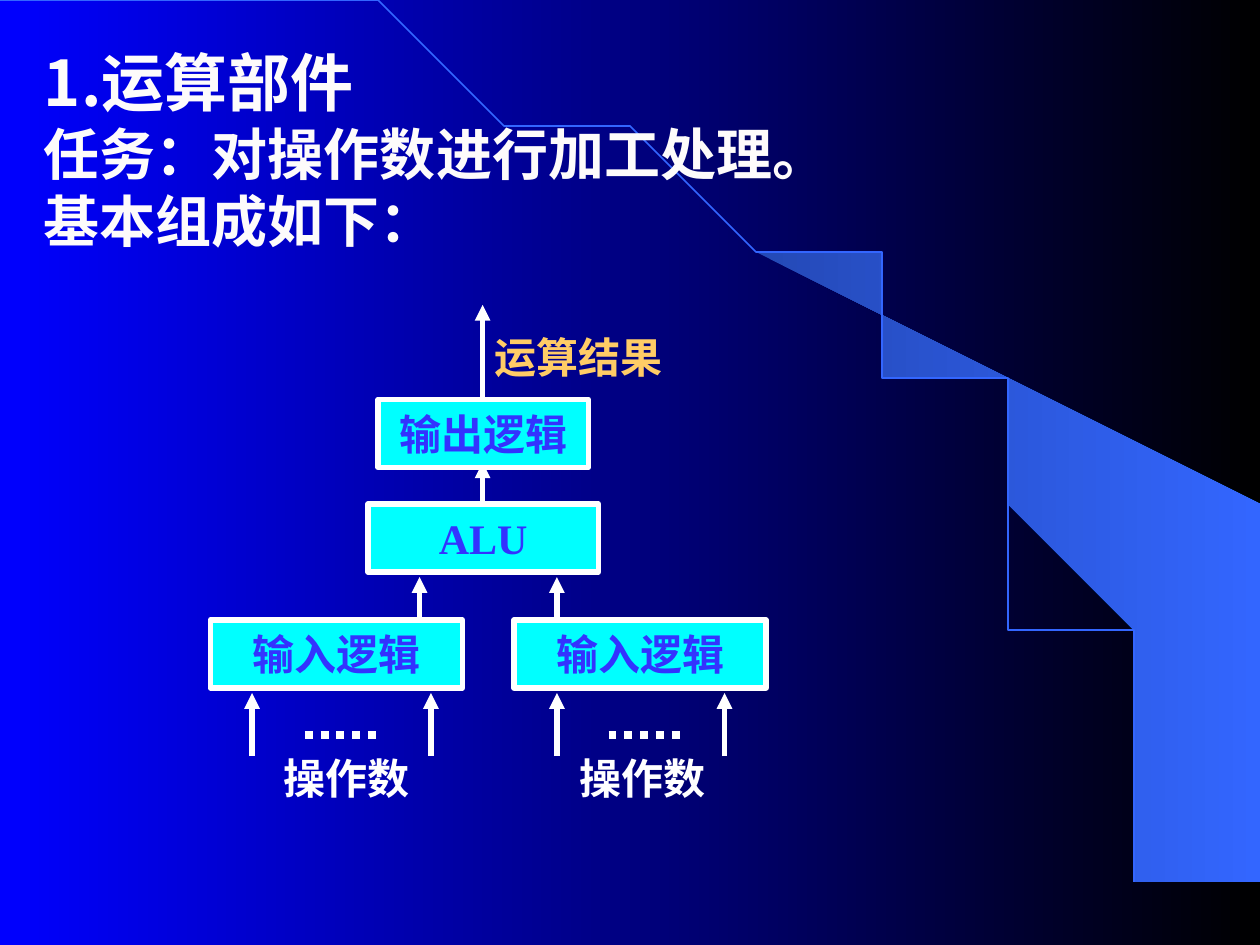
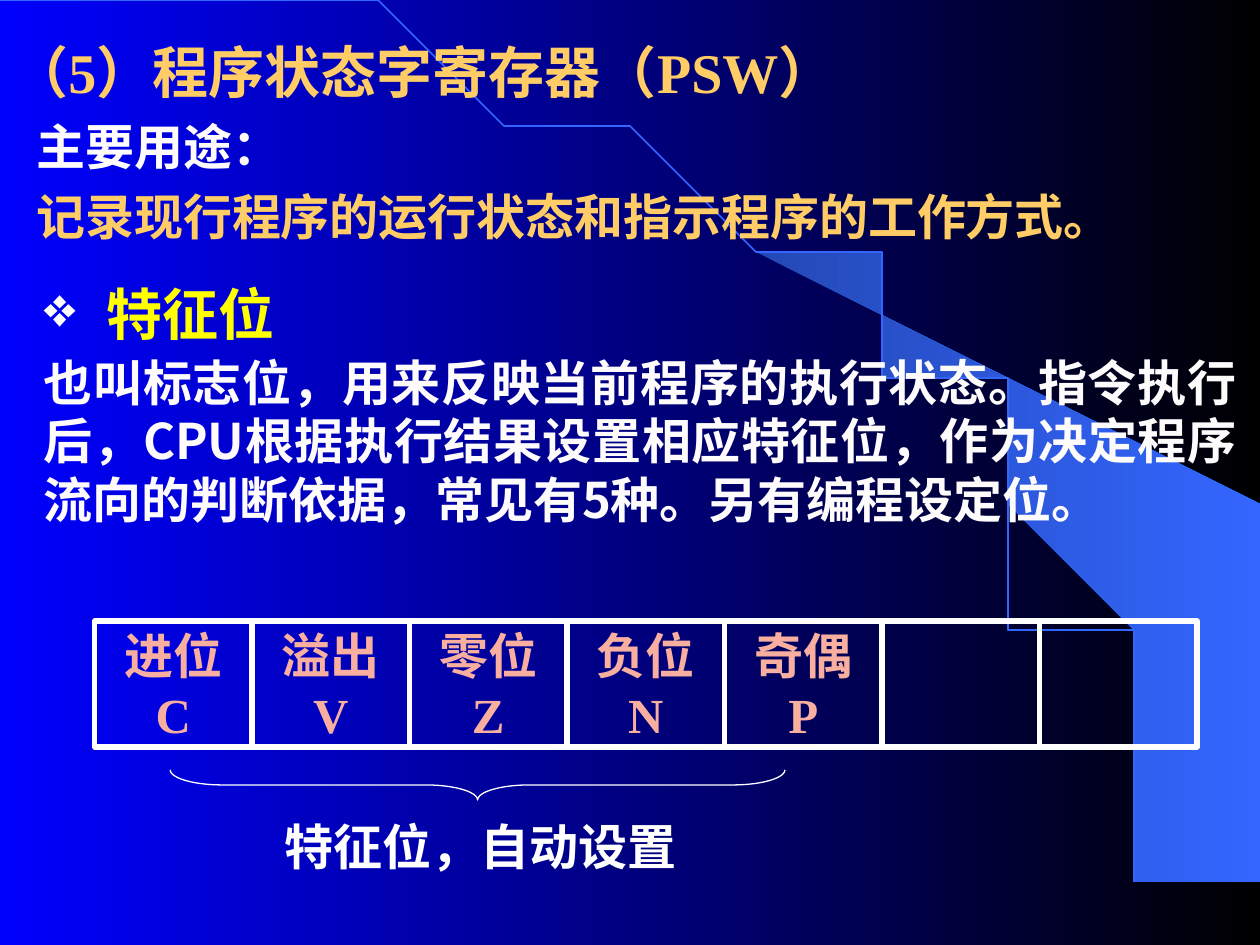
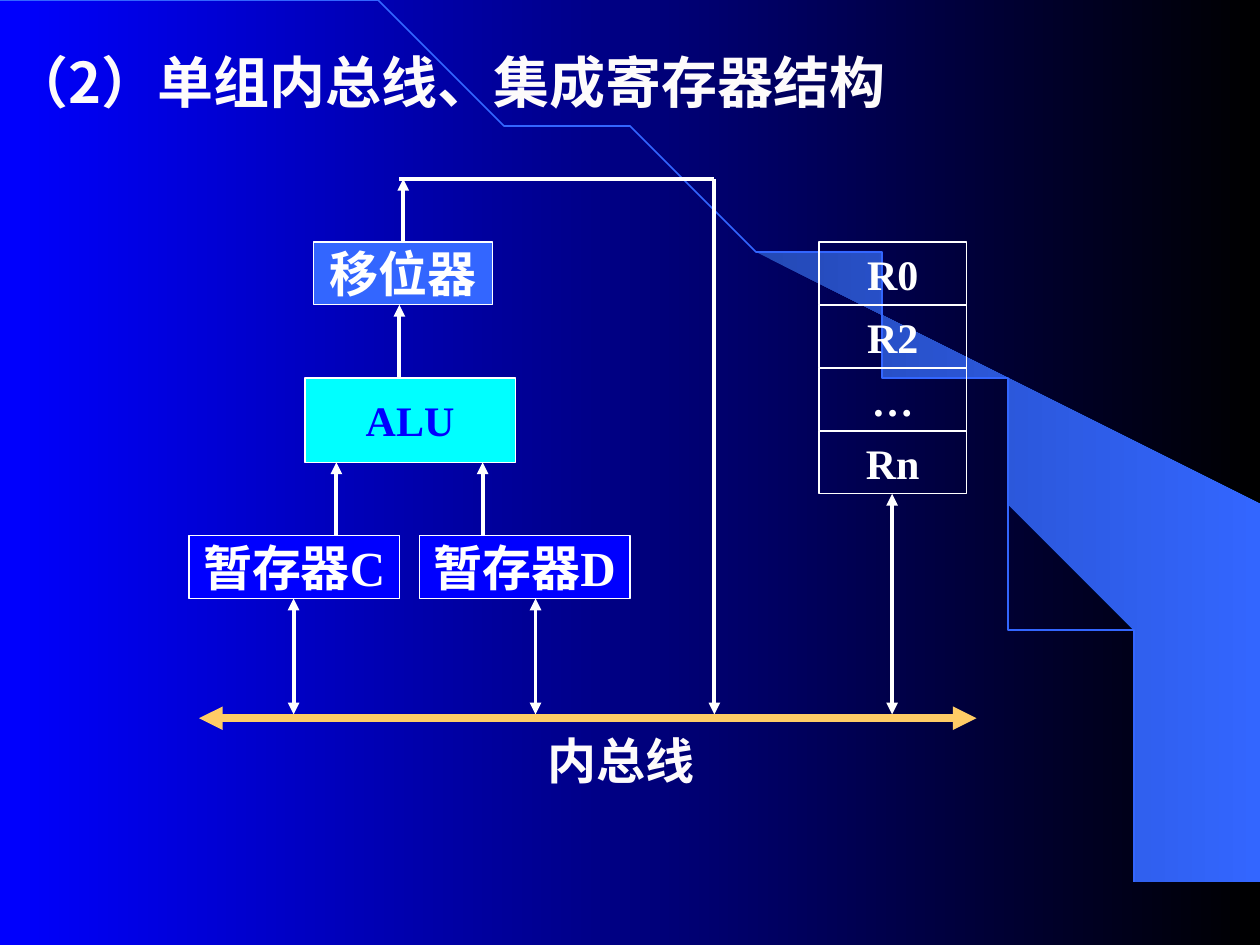
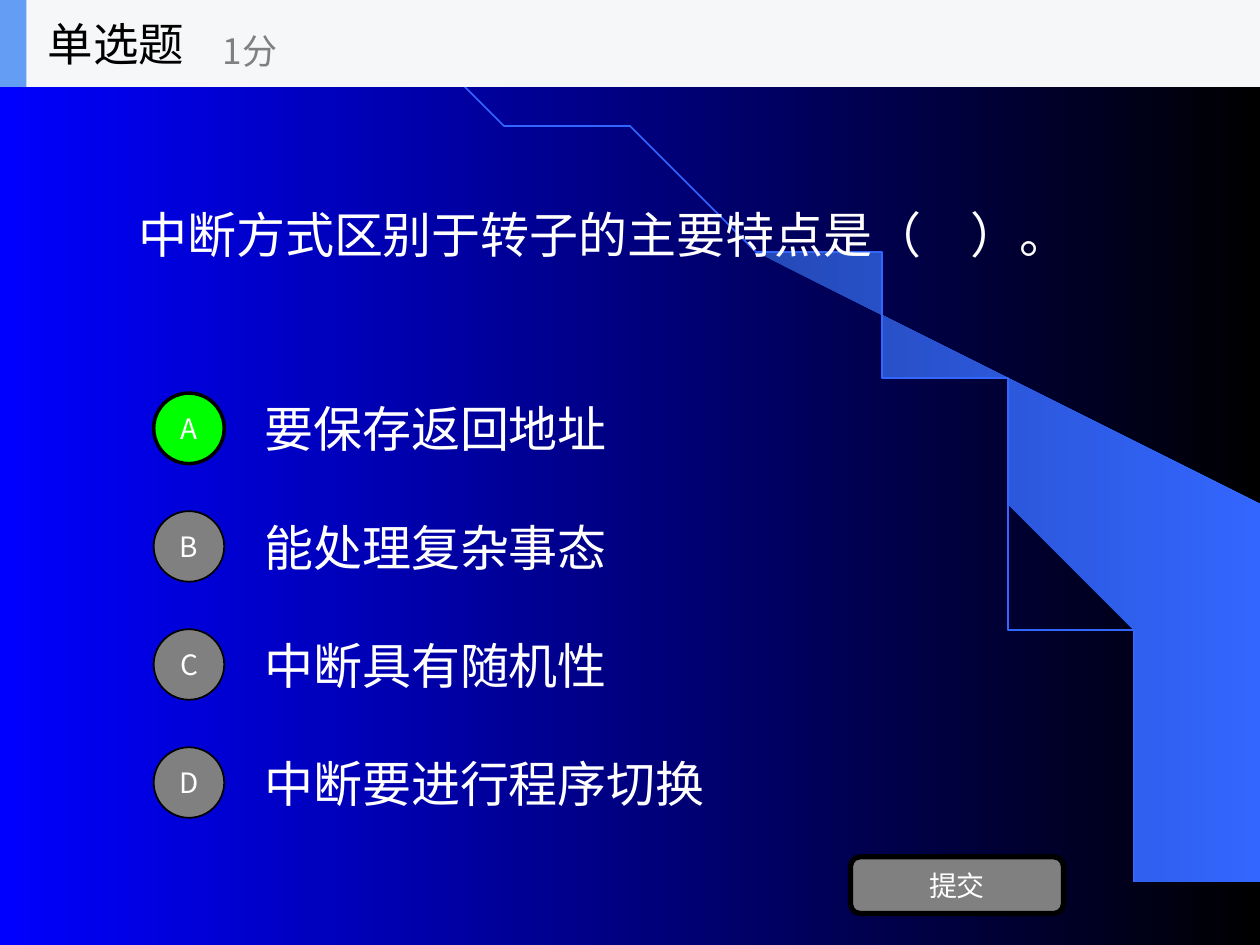
from lxml import etree
from pptx import Presentation
from pptx.dml.color import RGBColor
from pptx.enum import dml, shapes, text
from pptx.oxml import ns
from pptx.util import Inches, Pt

SANS, SERIF = "Noto Sans CJK SC", "Times New Roman"
WHITE, SNOW, GOLD, YELLOW = "FFFFFF", "FDFBFB", "FFCC66", "FFFF00"
BLUE, CYAN, INK, SKY = "0000FF", "00FFFF", "3333FF", "3366FF"
BLACK, GRAY, GREEN, PINK = "000000", "808080", "00FF00", "F8AFA0"
LEFT, MID, FULL = (text.PP_ALIGN.LEFT, text.PP_ALIGN.CENTER,
                   text.PP_ALIGN.JUSTIFY)
TOP, CENTER = text.MSO_ANCHOR.TOP, text.MSO_ANCHOR.MIDDLE
KIND = shapes.MSO_SHAPE
LEADING = 1.2

# Edge of the bright wedge in the backdrop
WEDGE = [(9.2, 7.48), (9.99, 7.49), (9.99, 4.23), (5.89, 1.73), (6.24, 1.99),
         (6.53, 2.22), (6.85, 2.5), (7.16, 2.8), (7.62, 3.3), (8.03, 3.84),
         (8.32, 4.31), (8.58, 4.79), (8.78, 5.28), (8.93, 5.72), (9.03, 6.09),
         (9.13, 6.56), (9.17, 6.96), (9.2, 7.48)]


# Basic helpers
def rgb(code):
    return RGBColor.from_string(code)


def sub(parent, tag, **attrs):
    return etree.SubElement(parent, ns.qn(tag), attrs)


def paint(shape, fill=None, line=None, width=1):
    shape.shadow.inherit = False
    if fill:
        shape.fill.solid()
        shape.fill.fore_color.rgb = rgb(fill)
    else:
        shape.fill.background()
    if line:
        shape.line.color.rgb = rgb(line)
        shape.line.width = Pt(width)
    else:
        shape.line.fill.background()


def blend(fill, start, end):
    fill.gradient()
    fill.gradient_angle = 0
    for stop, code in zip(fill.gradient_stops, (start, end)):
        stop.color.rgb = rgb(code)


# Text
def para(words, size, color=WHITE, font=SERIF, bold=True, align=LEFT,
         before=0, indent=0, bullet=None):
    return dict(words=words, size=size, color=color, font=font, bold=bold,
                align=align, before=before, indent=indent, bullet=bullet)


def write(shape, paras, anchor=TOP, wrap=True):
    frame = shape.text_frame
    frame.word_wrap = wrap
    frame.vertical_anchor = anchor
    for i, item in enumerate(paras):
        p = frame.paragraphs[0] if i == 0 else frame.add_paragraph()
        props = p._p.get_or_add_pPr()
        if item["indent"]:
            props.set("marL", str(Inches(item["indent"])))
        if item["bullet"]:
            props.set("indent", str(-Inches(item["indent"])))
            sub(sub(props, "a:buClr"), "a:srgbClr", val=WHITE)
            sub(props, "a:buChar", char=item["bullet"])
        p.alignment = item["align"]
        p.line_spacing = Pt(item["size"] * LEADING)
        if item["before"]:
            p.space_before = Pt(item["before"])
        run = p.add_run()
        run.text = item["words"]
        run.font.size = Pt(item["size"])
        run.font.bold = item["bold"]
        run.font.color.rgb = rgb(item["color"])
        run.font.name = item["font"]
        sub(run._r.get_or_add_rPr(), "a:ea", typeface=SANS)


def label(slide, at, *paras, anchor=TOP, wrap=True):
    box = slide.shapes.add_textbox(*map(Inches, at))
    write(box, paras, anchor, wrap)


# Shapes and lines
def block(slide, at, *paras, fill=None, line=WHITE, width=0.75,
          kind=KIND.RECTANGLE):
    shape = slide.shapes.add_shape(kind, *map(Inches, at))
    paint(shape, fill, line, width)
    write(shape, paras, CENTER, False)
    return shape


def wire(slide, x1, y1, x2, y2, width=2.25, color=WHITE, head=False,
         tail=True, dots=False):
    link = slide.shapes.add_connector(shapes.MSO_CONNECTOR.STRAIGHT,
                                      *map(Inches, (x1, y1, x2, y2)))
    link.line.color.rgb = rgb(color)
    link.line.width = Pt(width)
    if dots:
        link.line.dash_style = dml.MSO_LINE.ROUND_DOT
    edge = link.line._get_or_add_ln()
    for tag, shown in (("a:headEnd", head), ("a:tailEnd", tail)):
        if shown:
            sub(edge, tag, type="triangle")
    sub(link._element.spPr, "a:effectLst")


def outline(slide, points, close):
    pen = slide.shapes.build_freeform(*points[0], scale=float(Inches(1)))
    pen.add_line_segments(points[1:], close=close)
    return pen.convert_to_shape()


def arc(steps=48):
    ends = ((0, 0), (5.08, 0), (9.2, 3.35), (9.2, 7.49))
    points = []
    for i in range(steps + 1):
        t = i / steps
        mix = ((1 - t) ** 3, 3 * t * (1 - t) ** 2, 3 * t * t * (1 - t), t ** 3)
        points.append(tuple(sum(m * e[k] for m, e in zip(mix, ends))
                            for k in (0, 1)))
    return points


# Shared backdrop, kept on the master
def backdrop(master, slide):
    blend(master.background.fill, BLUE, BLACK)
    wedge = outline(slide, WEDGE, True)
    paint(wedge)
    blend(wedge.fill, "2449B6", SKY)
    curve = outline(slide, arc(), False)
    paint(curve, line=SKY)
    for shape in (wedge, curve):
        master.shapes._spTree.insert_element_before(shape._element, "p:extLst")


# Slide 1: arithmetic unit
def unit(slide):
    label(slide, (0.25, 0.3, 6.42, 1.77),
          para("1.运算部件", 36, SNOW, SANS),
          para("任务：对操作数进行加工处理。", 32, SNOW, SANS),
          para("基本组成如下：", 32, SNOW, SANS))
    for x, low, high in ((3.33, 4.92, 4.58), (4.42, 4.92, 4.58),
                         (3.83, 4, 3.67), (3.83, 3.17, 2.42),
                         (2, 6, 5.5), (3.42, 6, 5.5),
                         (4.42, 6, 5.5), (5.75, 6, 5.5)):
        wire(slide, x, low, x, high, 3)
    for x, y, wide, words in ((1.67, 4.92, 2, "输入逻辑"),
                              (4.08, 4.92, 2, "输入逻辑"),
                              (3, 3.17, 1.67, "输出逻辑"),
                              (2.92, 4, 1.83, "ALU")):
        block(slide, (x, y, wide, 0.54), para(words, 24, INK, align=MID),
              fill=CYAN, width=3)
    for x in (2.42, 4.83):
        wire(slide, x, 5.83, x + 0.58, 5.83, 4.5, tail=False, dots=True)
    for x, y, wide, words, color in ((2.15, 5.92, 1.21, "操作数", WHITE),
                                     (4.5, 5.92, 1.21, "操作数", WHITE),
                                     (3.83, 2.58, 1.53, "运算结果", GOLD)):
        label(slide, (x, y, wide, 0.5), para(words, 24, color), wrap=False)


# Slide 2: program status word
def status(slide):
    label(slide, (0, 0.25, 10, 1.76),
          para("（5）程序状态字寄存器（PSW）", 32, GOLD, align=FULL),
          para("主要用途：", 28, SNOW, align=FULL, before=6.5, indent=0.19),
          para("记录现行程序的运行状态和指示程序的工作方式。", 28, GOLD,
               align=FULL, before=6.5, indent=0.19))
    label(slide, (0.25, 2.17, 9.67, 2.08),
          para("特征位", 32, YELLOW, SANS, indent=0.5, bullet="❖"),
          para("也叫标志位，用来反映当前程序的执行状态。指令执行后，CPU根据"
               "执行结果设置相应特征位，作为决定程序流向的判断依据，常见有5种。"
               "另有编程设定位。", 28, SNOW, SANS, align=FULL, before=3))
    flags = (("进位", "C"), ("溢出", "V"), ("零位", "Z"), ("负位", "N"),
             ("奇偶", "P"), (), ())
    for i, flag in enumerate(flags):
        block(slide, (0.75 + 1.25 * i, 4.93, 1.25, 1),
              *[para(words, 28, PINK, align=MID) for words in flag], width=3)
    brace = block(slide, (3.67, 3.79, 0.24, 4.88), kind=KIND.RIGHT_BRACE)
    brace.rotation = 90
    brace.adjustments[0] = 1.723
    label(slide, (2.16, 6.43, 3.31, 0.57), para("特征位，自动设置", 28),
          wrap=False)


# Slide 3: single internal bus
def bus(slide):
    label(slide, (0, 0.33, 9.08, 0.63),
          para("（2）单组内总线、集成寄存器结构", 32, SNOW, SANS))
    for at, words, size, color, fill in (
            ((2.49, 1.92, 1.42, 0.5), "移位器", 28, WHITE, SKY),
            ((2.42, 3, 1.67, 0.67), "ALU", 24, BLUE, CYAN),
            ((1.5, 4.25, 1.67, 0.5), "暂存器C", 28, WHITE, BLUE),
            ((3.33, 4.25, 1.67, 0.5), "暂存器D", 28, WHITE, BLUE)):
        block(slide, at, para(words, size, color, align=MID), fill=fill)
    for i, words in enumerate(("R0", "R2", "…", "Rn")):
        block(slide, (6.5, 1.92 + 0.5 * i, 1.17, 0.5),
              para(words, 24, align=MID))
    # One-way paths, then two-way paths to the bus
    for x, start, end in ((3.17, 3, 2.42), (3.2, 1.92, 1.42),
                          (5.67, 1.42, 5.67), (2.67, 4.25, 3.67),
                          (3.83, 4.25, 3.67)):
        wire(slide, x, start, x, end)
    wire(slide, 3.17, 1.42, 5.67, 1.42, tail=False)
    for x, top in ((2.33, 4.75), (4.25, 4.75), (7.08, 3.92)):
        wire(slide, x, top, x, 5.67, head=True)
    wire(slide, 1.58, 5.7, 7.75, 5.7, 4.5, GOLD, head=True)
    label(slide, (4.25, 5.75, 1.42, 0.57), para("内总线", 28, SNOW))


# Slide 4: single-choice question
def quiz(slide):
    label(slide, (1, 0.69, 8, 2.34),
          para("中断方式区别于转子的主要特点是（　）。", 28, bold=False),
          anchor=CENTER)
    answers = ("要保存返回地址", "能处理复杂事态", "中断具有随机性",
               "中断要进行程序切换")
    for i, (mark, words) in enumerate(zip("ABCD", answers)):
        y = 3.05 + 0.937 * i
        label(slide, (2, y, 7, 0.7), para(words, 28, bold=False),
              anchor=CENTER)
        right = mark == "A"
        block(slide, (1.22, y + 0.07, 0.56, 0.56),
              para(mark, 16, font=SANS, bold=False, align=MID),
              fill=GREEN if right else GRAY, line=BLACK,
              width=2 if right else 1, kind=KIND.OVAL)
    block(slide, (6.75, 6.8, 1.69, 0.45),
          para("提交", 16, font=SANS, bold=False, align=MID),
          fill=GRAY, line=BLACK, width=3, kind=KIND.ROUNDED_RECTANGLE)
    # Header band
    for wide, fill in ((10, "F6F7F8"), (0.21, "639EF4")):
        block(slide, (0, 0, wide, 0.69), fill=fill, line=None)
    label(slide, (0.28, 0, 2.08, 0.69),
          para("单选题", 26, BLACK, SANS, False), anchor=CENTER)
    label(slide, (1.67, 0.12, 2.5, 0.56),
          para("1分", 20, GRAY, SANS, False), anchor=CENTER)


def main():
    prs = Presentation()
    prs.slide_width, prs.slide_height = Inches(10), Inches(7.5)
    for i, draw in enumerate((unit, status, bus, quiz)):
        slide = prs.slides.add_slide(prs.slide_layouts[6])
        if i == 0:
            backdrop(prs.slide_master, slide)
        draw(slide)
    prs.save("out.pptx")


if __name__ == "__main__":
    main()
